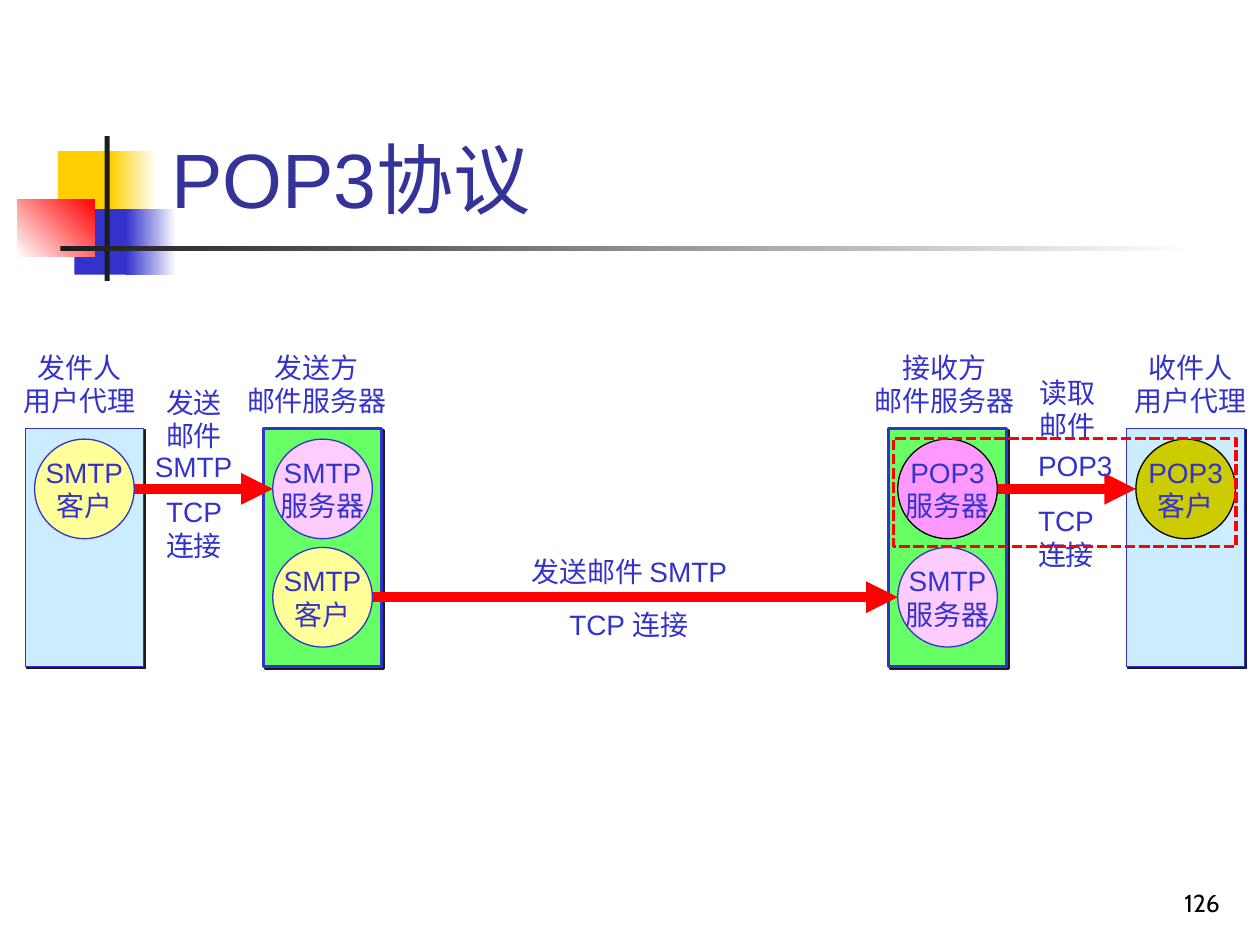
import lxml.etree
import pptx
import pptx.dml.color
import pptx.enum.dml
import pptx.enum.shapes
import pptx.enum.text
import pptx.oxml
import pptx.oxml.ns
import pptx.util

RGBColor = pptx.dml.color.RGBColor
Inches = pptx.util.Inches
SHAPE = pptx.enum.shapes.MSO_SHAPE
ALIGN = pptx.enum.text.PP_ALIGN
ANCHOR = pptx.enum.text.MSO_ANCHOR

WHITE = RGBColor(0xFF, 0xFF, 0xFF)
BLACK = RGBColor(0x00, 0x00, 0x00)
INK = RGBColor(0x1C, 0x1C, 0x1C)
RED = RGBColor(0xFF, 0x00, 0x00)
GOLD = RGBColor(0xFF, 0xCF, 0x01)
BLUE = RGBColor(0x33, 0x33, 0xCC)
TITLE_BLUE = RGBColor(0x33, 0x33, 0x99)
SKY = RGBColor(0xCC, 0xEC, 0xFF)
GREEN = RGBColor(0x66, 0xFF, 0x66)
YELLOW = RGBColor(0xFF, 0xFF, 0x99)
PINK = RGBColor(0xFF, 0xCC, 0xFF)
MAGENTA = RGBColor(0xFF, 0x99, 0xFF)
OLIVE = RGBColor(0xCC, 0xCC, 0x00)

# Two pairs of hosts, one column each; processes sit in two rows.
PITCH = 1.89
COLUMNS = [0.2, 0.2 + PITCH, 7.05, 7.05 + PITCH]
HOST_WIDTH, HOST_TOP, HOST_HEIGHT = 0.94, 3.4, 1.89
DIAMETER = 0.79
INDENT = (HOST_WIDTH - DIAMETER) / 2
ROWS = [3.88, 4.74]

deck = pptx.Presentation()
deck.slide_width, deck.slide_height = Inches(10), Inches(7.5)
page = deck.slides.add_slide(deck.slide_layouts[5])


def add_shape(kind, place, fill=None, line=None, width=0.75):
    shape = page.shapes.add_shape(kind, *map(Inches, place))
    shape.shadow.inherit = False
    if fill is None:
        shape.fill.background()
    else:
        shape.fill.solid()
        shape.fill.fore_color.rgb = fill
    if line is None:
        shape.line.fill.background()
    else:
        shape.line.color.rgb = line
        shape.line.width = pptx.util.Pt(width)
    return shape


def set_text(box, text, align, size=16, color=BLUE, font="Arial"):
    box.text_frame.text = text
    for para in box.text_frame.paragraphs:
        para.alignment = align
        for span in para.runs:
            span.font.name = font
            span.font.size = pptx.util.Pt(size)
            span.font.color.rgb = color


# Title ornament: (place, start colour, end colour, angle)
ornament = [
    ((0.46, 1.2, 0.48, 0.52), GOLD, None, 0),
    ((0.88, 1.2, 0.36, 0.52), GOLD, WHITE, 0),
    ((0.59, 1.66, 0.46, 0.52), BLUE, None, 0),
    ((1, 1.66, 0.4, 0.52), BLUE, WHITE, 0),
    ((0.14, 1.58, 0.61, 0.46), WHITE, RED, 45),
    ((0.83, 1.08, 0.04, 1.15), INK, None, 0),
    ((0.48, 1.95, 9, 0.04), INK, WHITE, 0),
]
for place, start, end, angle in ornament:
    block = add_shape(SHAPE.RECTANGLE, place, start)
    if end is not None:
        block.fill.gradient()
        block.fill.gradient_angle = angle
        for stop, color in zip(block.fill.gradient_stops, (start, end)):
            stop.color.rgb = color

title = page.shapes.title
title.left, title.top, title.width, title.height = map(Inches, (1.26, 0.23, 8.52, 1.6))
title.text_frame.vertical_anchor = ANCHOR.BOTTOM
set_text(title, "POP3协议", ALIGN.LEFT, 44, TITLE_BLUE)

number = page.shapes.add_textbox(*map(Inches, (7.7, 6.83, 2.08, 0.5)))
number.text_frame.word_wrap = True
number.text_frame.vertical_anchor = ANCHOR.BOTTOM
set_text(number, "126", ALIGN.RIGHT, 14, BLACK, "Cabin")

# Hosts with a hard offset shadow
hosts = zip(COLUMNS, (SKY, GREEN, GREEN, SKY), (0.75, 1.5, 1.5, 0.75))
for left, fill, width in hosts:
    host = add_shape(SHAPE.RECTANGLE, (left, HOST_TOP, HOST_WIDTH, HOST_HEIGHT),
                     fill, BLUE, width)
    effects = host._element.spPr.find(pptx.oxml.ns.qn("a:effectLst"))
    effects.append(pptx.oxml.parse_xml(
        f'<a:outerShdw {pptx.oxml.ns.nsdecls("a")} blurRad="0" dist="17780" '
        f'dir="2700000" algn="ctr" rotWithShape="0"><a:srgbClr val="{INK}"/></a:outerShdw>'))

# Connections from the right of one process to the left of the next
for source, target, row in [(0, 1, 0), (1, 2, 1), (2, 3, 0)]:
    start = COLUMNS[source] + INDENT + DIAMETER - 0.05
    end = COLUMNS[target] + INDENT
    arrow = page.shapes.add_connector(
        pptx.enum.shapes.MSO_CONNECTOR.STRAIGHT,
        *map(Inches, (start, ROWS[row], end, ROWS[row])))
    arrow.line.color.rgb = RED
    arrow.line.width = pptx.util.Pt(6)
    lxml.etree.SubElement(arrow.line._get_or_add_ln(),
                          pptx.oxml.ns.qn("a:tailEnd"), type="triangle")
    lxml.etree.SubElement(arrow._element.spPr, pptx.oxml.ns.qn("a:effectLst"))

# Processes: (column, row, text, fill, outline)
processes = [
    (0, 0, "SMTP\n客户", YELLOW, BLUE),
    (1, 0, "SMTP\n服务器", PINK, BLUE),
    (1, 1, "SMTP\n客户", YELLOW, BLUE),
    (2, 0, "POP3\n服务器", MAGENTA, BLACK),
    (2, 1, "SMTP\n服务器", PINK, BLUE),
    (3, 0, "POP3\n客户", OLIVE, BLACK),
]
for column, row, text, fill, line in processes:
    place = (COLUMNS[column] + INDENT, ROWS[row] - DIAMETER / 2, DIAMETER, DIAMETER)
    process = add_shape(SHAPE.OVAL, place, fill, line)
    process.text_frame.word_wrap = False
    process.text_frame.vertical_anchor = ANCHOR.MIDDLE
    set_text(process, text, ALIGN.CENTER)

# Captions and connection labels: (left, top, width, text, alignment)
labels = [
    (0.09, 2.73, 1.08, "发件人\n用户代理", ALIGN.CENTER),
    (1.86, 2.73, 1.31, "发送方\n邮件服务器", ALIGN.CENTER),
    (6.84, 2.73, 1.31, "接收方\n邮件服务器", ALIGN.CENTER),
    (8.91, 2.73, 1.08, "收件人\n用户代理", ALIGN.CENTER),
    (1.22, 3.01, 0.64, "发送\n邮件", ALIGN.CENTER),
    (1.13, 3.52, 0.81, "SMTP", ALIGN.LEFT),
    (1.22, 3.88, 0.64, "TCP\n连接", ALIGN.LEFT),
    (4.12, 4.35, 1.8, "发送邮件 SMTP", ALIGN.LEFT),
    (4.42, 4.77, 1.2, "TCP 连接", ALIGN.LEFT),
    (8.15, 2.93, 0.64, "读取\n邮件", ALIGN.LEFT),
    (8.14, 3.51, 0.79, "POP3", ALIGN.LEFT),
    (8.14, 3.95, 0.64, "TCP\n连接", ALIGN.LEFT),
]
for left, top, width, text, align in labels:
    height = 0.64 if "\n" in text else 0.37
    label = page.shapes.add_textbox(*map(Inches, (left, top, width, height)))
    label.text_frame.word_wrap = False
    label.text_frame.auto_size = pptx.enum.text.MSO_AUTO_SIZE.NONE
    # Slim side margins leave each line room to stay whole.
    label.text_frame.margin_left = Inches(0 if align == ALIGN.CENTER else 0.1)
    label.text_frame.margin_right = 0
    set_text(label, text, align)

highlight = add_shape(SHAPE.RECTANGLE, (7.09, 3.48, 2.72, 0.86), line=RED, width=2)
highlight.line.dash_style = pptx.enum.dml.MSO_LINE.SQUARE_DOT

deck.save("out.pptx")
